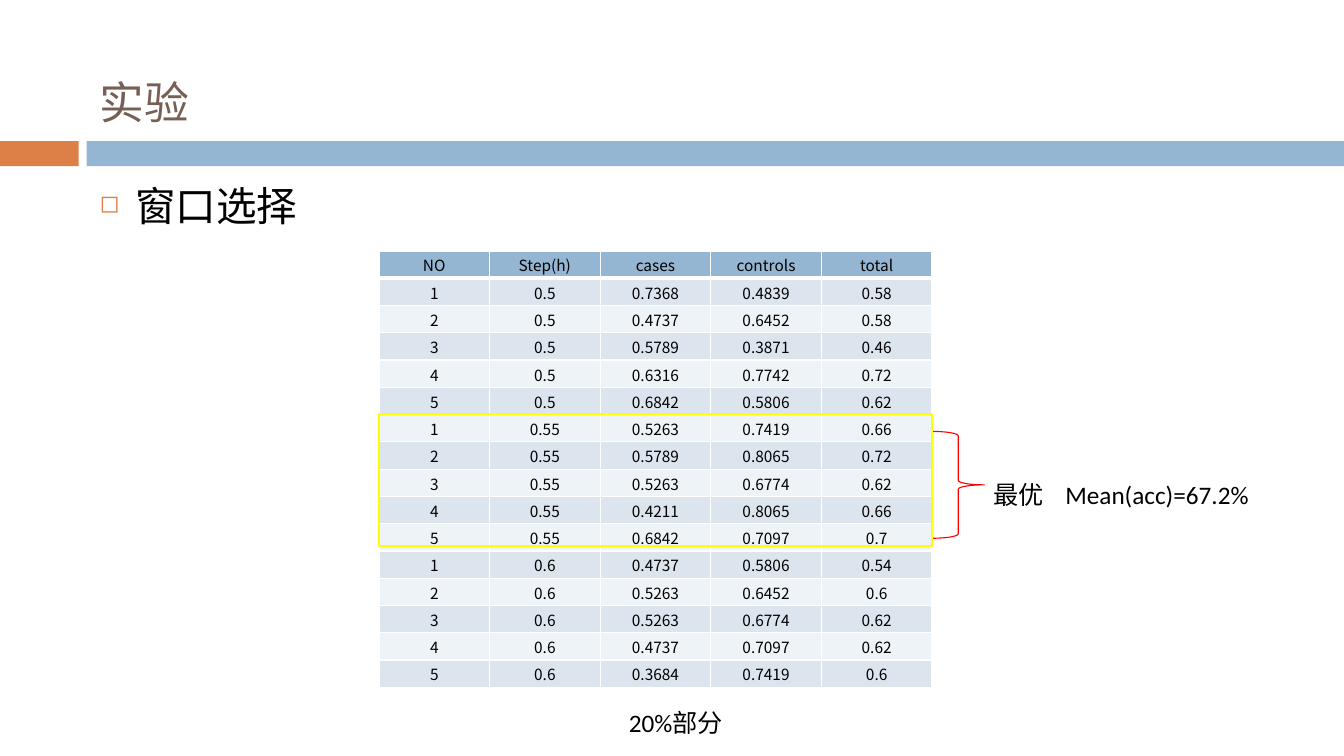
from lxml import etree
from pptx import Presentation
from pptx.dml.color import RGBColor
from pptx.enum.shapes import MSO_SHAPE
from pptx.enum.text import MSO_ANCHOR, PP_ALIGN
from pptx.oxml import parse_xml
from pptx.oxml.ns import nsdecls, qn
from pptx.util import Inches, Pt

RECTANGLE, RIGHT_BRACE = MSO_SHAPE.RECTANGLE, MSO_SHAPE.RIGHT_BRACE
BOTTOM, MIDDLE, TOP = MSO_ANCHOR.BOTTOM, MSO_ANCHOR.MIDDLE, MSO_ANCHOR.TOP
LEFT, CENTER = PP_ALIGN.LEFT, PP_ALIGN.CENTER
SLIDE_WIDTH, SLIDE_HEIGHT = Inches(13.33), Inches(7.5)
ORANGE, BLUE, BROWN = "DD8047", "94B6D2", "775F55"
BLACK, WHITE, YELLOW, RED = "000000", "FFFFFF", "FFFF00", "FF0000"
ROW_FILLS = ("DCE5EE", "EEF3F7")
LATIN_FONT, TABLE_FONT = "Calibri", "Noto Sans CJK SC"
TABLE_LEFT, TABLE_TOP, TABLE_WIDTH, ROW_HEIGHT = 28.2, 33.2, 41.15, 3.61
CONTENT_LEFT, CONTENT_WIDTH = 6.68, 89.17
HEADINGS = ("NO", "Step(h)", "cases", "controls", "total")
RESULTS = {
    "0.5": [("0.7368", "0.4839", "0.58"), ("0.4737", "0.6452", "0.58"),
            ("0.5789", "0.3871", "0.46"), ("0.6316", "0.7742", "0.72"),
            ("0.6842", "0.5806", "0.62")],
    "0.55": [("0.5263", "0.7419", "0.66"), ("0.5789", "0.8065", "0.72"),
             ("0.5263", "0.6774", "0.62"), ("0.4211", "0.8065", "0.66"),
             ("0.6842", "0.7097", "0.7")],
    "0.6": [("0.4737", "0.5806", "0.54"), ("0.5263", "0.6452", "0.6"),
            ("0.5263", "0.6774", "0.62"), ("0.4737", "0.7097", "0.62"),
            ("0.3684", "0.7419", "0.6")],
}


def color(value):
    return RGBColor.from_string(value)


def across(percent):
    return round(SLIDE_WIDTH * percent / 100)


def down(percent):
    return round(SLIDE_HEIGHT * percent / 100)


def box(left, top, width, height):
    return across(left), down(top), across(width), down(height)


def set_attributes(target, values):
    for name, value in values.items():
        setattr(target, name, value)


def write(text_frame, text, size, font=LATIN_FONT, text_color=BLACK, align=LEFT):
    paragraph = text_frame.paragraphs[0]
    paragraph.alignment = align
    run = paragraph.add_run()
    run.text = text
    set_attributes(run.font, {"name": font, "size": Pt(size), "bold": False})
    run.font.color.rgb = color(text_color)
    return paragraph


def add_title(slide, text):
    title = slide.shapes.title
    left, top, width, height = box(CONTENT_LEFT, 3.33, CONTENT_WIDTH, 14.4)
    set_attributes(title, {"left": left, "top": top, "width": width, "height": height})
    set_attributes(title.text_frame, {"vertical_anchor": BOTTOM, "word_wrap": True})
    write(title.text_frame, text, 32, text_color=BROWN)


def add_text(slide, place, text, size=18, wrap=False):
    text_box = slide.shapes.add_textbox(*box(*place))
    set_attributes(text_box.text_frame, {"word_wrap": wrap, "vertical_anchor": TOP})
    return write(text_box.text_frame, text, size)


def add_bullet(paragraph, character, bullet_color, percent):
    paragraph.space_before = Pt(7)
    properties = paragraph._p.get_or_add_pPr()
    properties.set("marL", str(Inches(0.35)))
    properties.set("indent", str(-Inches(0.35)))
    bullet = etree.SubElement(properties, qn("a:buClr"))
    etree.SubElement(bullet, qn("a:srgbClr"), val=bullet_color)
    etree.SubElement(properties, qn("a:buSzPct"), val=str(percent * 1000))
    etree.SubElement(properties, qn("a:buChar"), char=character)


def add_figure(slide, kind, place, fill=None, line=None, line_width=1):
    shape = slide.shapes.add_shape(kind, *box(*place))
    shape.shadow.inherit = False
    if fill:
        shape.fill.solid()
        shape.fill.fore_color.rgb = color(fill)
    else:
        shape.fill.background()
    if line:
        shape.line.color.rgb = color(line)
        shape.line.width = Pt(line_width)
    else:
        shape.line.fill.background()


def add_borders(cell, widths):
    properties = cell._tc.get_or_add_tcPr()
    for side, width in widths.items():
        properties.append(parse_xml(
            f'<a:ln{side} {nsdecls("a")} w="{Pt(width)}"><a:solidFill>'
            f'<a:srgbClr val="{WHITE}"/></a:solidFill></a:ln{side}>'))


def fill_cell(cell, text, fill, widths):
    inset = Inches(0.01)
    set_attributes(cell, {"margin_left": inset, "margin_top": inset,
                          "margin_right": inset, "margin_bottom": 0,
                          "vertical_anchor": MIDDLE})
    add_borders(cell, widths)
    cell.fill.solid()
    cell.fill.fore_color.rgb = color(fill)
    write(cell.text_frame, text, 11, font=TABLE_FONT, align=CENTER)


def add_results_table(slide):
    rows = [HEADINGS] + [(str(number), step, *values)
                         for step, runs in RESULTS.items()
                         for number, values in enumerate(runs, 1)]
    place = box(TABLE_LEFT, TABLE_TOP, TABLE_WIDTH, ROW_HEIGHT * len(rows))
    table = slide.shapes.add_table(len(rows), len(HEADINGS), *place).table
    for column in table.columns:
        column.width = across(TABLE_WIDTH / len(HEADINGS))
    for index, values in enumerate(rows):
        table.rows[index].height = down(ROW_HEIGHT)
        fill = ROW_FILLS[(index - 1) % 2] if index else BLUE
        widths = {"L": 1, "R": 1, "T": 3 if index == 1 else 1, "B": 1 if index else 3}
        for position, text in enumerate(values):
            fill_cell(table.cell(index, position), text, fill, widths)


def main():
    presentation = Presentation()
    set_attributes(presentation, {"slide_width": SLIDE_WIDTH, "slide_height": SLIDE_HEIGHT})
    slide = presentation.slides.add_slide(presentation.slide_layouts[5])
    add_figure(slide, RECTANGLE, (0, 18.67, 5.85, 3.33), fill=ORANGE)
    add_figure(slide, RECTANGLE, (6.45, 18.67, 93.55, 3.33), fill=BLUE)
    add_title(slide, "实验")
    topic = add_text(slide, (CONTENT_LEFT, 23.33, CONTENT_WIDTH, 67.6), "窗口选择", 29, True)
    add_bullet(topic, "◻", ORANGE, 60)
    add_results_table(slide)
    table_right = TABLE_LEFT + TABLE_WIDTH
    add_figure(slide, RIGHT_BRACE, (table_right, 57.07, 3.9, 14.13), line=RED, line_width=0.79)
    add_text(slide, (73.2, 62.8, 5.7, 5.33), "最优")
    add_text(slide, (46.05, 92.93, 9.23, 5.33), "20%部分")
    add_figure(slide, RECTANGLE, (TABLE_LEFT, 54.8, TABLE_WIDTH, 17.47), line=YELLOW, line_width=1.5)
    add_text(slide, (78.53, 62.8, 15.75, 5.33), "Mean(acc)=67.2%")
    presentation.save("out.pptx")


main()
